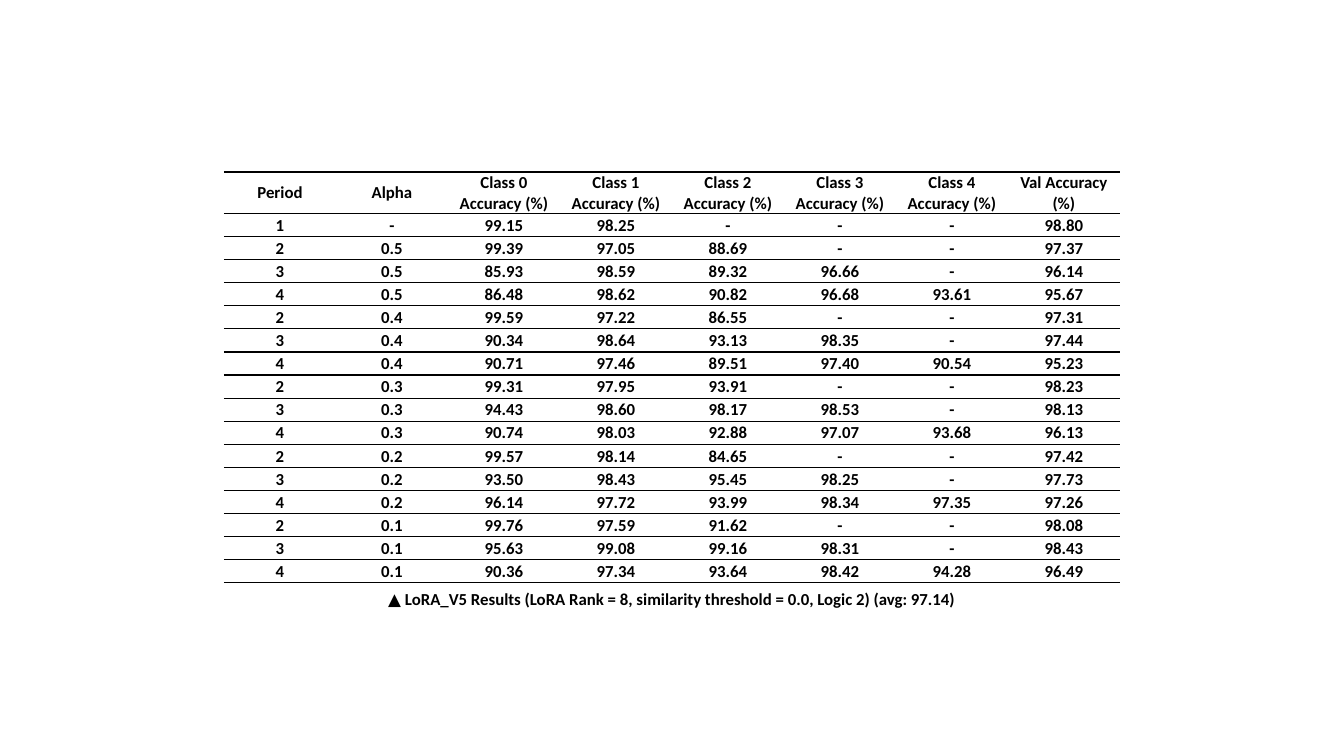
from lxml.etree import SubElement
from pptx import Presentation
from pptx.dml.color import RGBColor
from pptx.enum.text import MSO_ANCHOR, MSO_AUTO_SIZE, PP_ALIGN
from pptx.oxml import parse_xml
from pptx.oxml.ns import nsdecls, qn
from pptx.util import Pt

BLACK = RGBColor(0x00, 0x00, 0x00)
WHITE = RGBColor(0xFF, 0xFF, 0xFF)
FONT = "Calibri"
NO_STYLE = "{2D5ABB26-0587-4C30-8999-92F81FD0307C}"
SLIDE_W, SLIDE_H = 1344, 756
HEADER_H = 41

HEADERS = ["Period", "Alpha", *(f"Class {i} Accuracy (%)" for i in range(5)),
           "Val Accuracy\n(%)"]
RESULTS = """
1 - 99.15 98.25 - - - 98.80
2 0.5 99.39 97.05 88.69 - - 97.37
3 0.5 85.93 98.59 89.32 96.66 - 96.14
4 0.5 86.48 98.62 90.82 96.68 93.61 95.67
2 0.4 99.59 97.22 86.55 - - 97.31
3 0.4 90.34 98.64 93.13 98.35 - 97.44
4 0.4 90.71 97.46 89.51 97.40 90.54 95.23
2 0.3 99.31 97.95 93.91 - - 98.23
3 0.3 94.43 98.60 98.17 98.53 - 98.13
4 0.3 90.74 98.03 92.88 97.07 93.68 96.13
2 0.2 99.57 98.14 84.65 - - 97.42
3 0.2 93.50 98.43 95.45 98.25 - 97.73
4 0.2 96.14 97.72 93.99 98.34 97.35 97.26
2 0.1 99.76 97.59 91.62 - - 98.08
3 0.1 95.63 99.08 99.16 98.31 - 98.43
4 0.1 90.36 97.34 93.64 98.42 94.28 96.49
"""


def px(n):
    return round(n * 12192000 / SLIDE_W)


def add_run(p, text, font=FONT):
    r = p.add_run()
    r.text = text
    r.font.name = font
    r.font.size = Pt(12)
    r.font.bold = True
    r.font.color.rgb = BLACK


def rule_cell(cell, top, bottom):
    """Draw the wanted horizontal rules; border elements go before the fill."""
    edges = [tag for tag, wanted in (("lnT", top), ("lnB", bottom)) if wanted]
    for i, tag in enumerate(edges):
        ln = parse_xml(f'<a:{tag} {nsdecls("a")} w="{Pt(1)}"/>')
        fill = SubElement(ln, qn("a:solidFill"))
        SubElement(fill, qn("a:srgbClr")).set("val", str(BLACK))
        cell._tc.get_or_add_tcPr().insert(i, ln)


def fill_cell(cell, text):
    cell.fill.background()
    cell.vertical_anchor = MSO_ANCHOR.MIDDLE
    cell.margin_left = cell.margin_right = cell.margin_top = px(1)
    cell.margin_bottom = 0
    tf = cell.text_frame
    for i, line in enumerate(text.split("\n")):
        p = tf.add_paragraph() if i else tf.paragraphs[0]
        p.alignment = PP_ALIGN.CENTER
        add_run(p, line)


def add_results_table(s, x, y, w, h):
    rows = [HEADERS] + [line.split() for line in RESULTS.strip().splitlines()]
    table = s.shapes.add_table(len(rows), len(HEADERS),
                               px(x), px(y), px(w), px(h)).table
    table.first_row = table.horz_banding = False
    table._tbl.tblPr.find(qn("a:tableStyleId")).text = NO_STYLE
    for column in table.columns:
        column.width = px(w / len(HEADERS))
    # Periods 3 and 4 of one alpha share a block with no rule between them.
    ruled_below = [row[0] != "3" for row in rows]
    for i, row in enumerate(rows):
        table.rows[i].height = px((h - HEADER_H) / (len(rows) - 1) if i else HEADER_H)
        for j, text in enumerate(row):
            cell = table.cell(i, j)
            fill_cell(cell, text)
            rule_cell(cell, i == 0 or ruled_below[i - 1], ruled_below[i])


def add_caption(s, x, y, w, h):
    tf = s.shapes.add_textbox(px(x), px(y), px(w), px(h)).text_frame
    tf.word_wrap = True
    tf.auto_size = MSO_AUTO_SIZE.SHAPE_TO_FIT_TEXT
    p = tf.paragraphs[0]
    p.alignment = PP_ALIGN.CENTER
    add_run(p, "▲", "Lato")
    add_run(p, " LoRA_V5 Results (LoRA Rank = 8, similarity threshold = 0.0, "
               "Logic 2) (avg: 97.14)")


def main():
    prs = Presentation()
    prs.slide_width, prs.slide_height = px(SLIDE_W), px(SLIDE_H)
    s = prs.slides.add_slide(prs.slide_layouts[6])
    s.background.fill.solid()
    s.background.fill.fore_color.rgb = WHITE
    add_caption(s, 336, 584, 672, 30)
    add_results_table(s, 224, 172, 896, 411)
    prs.save("out.pptx")


if __name__ == "__main__":
    main()
